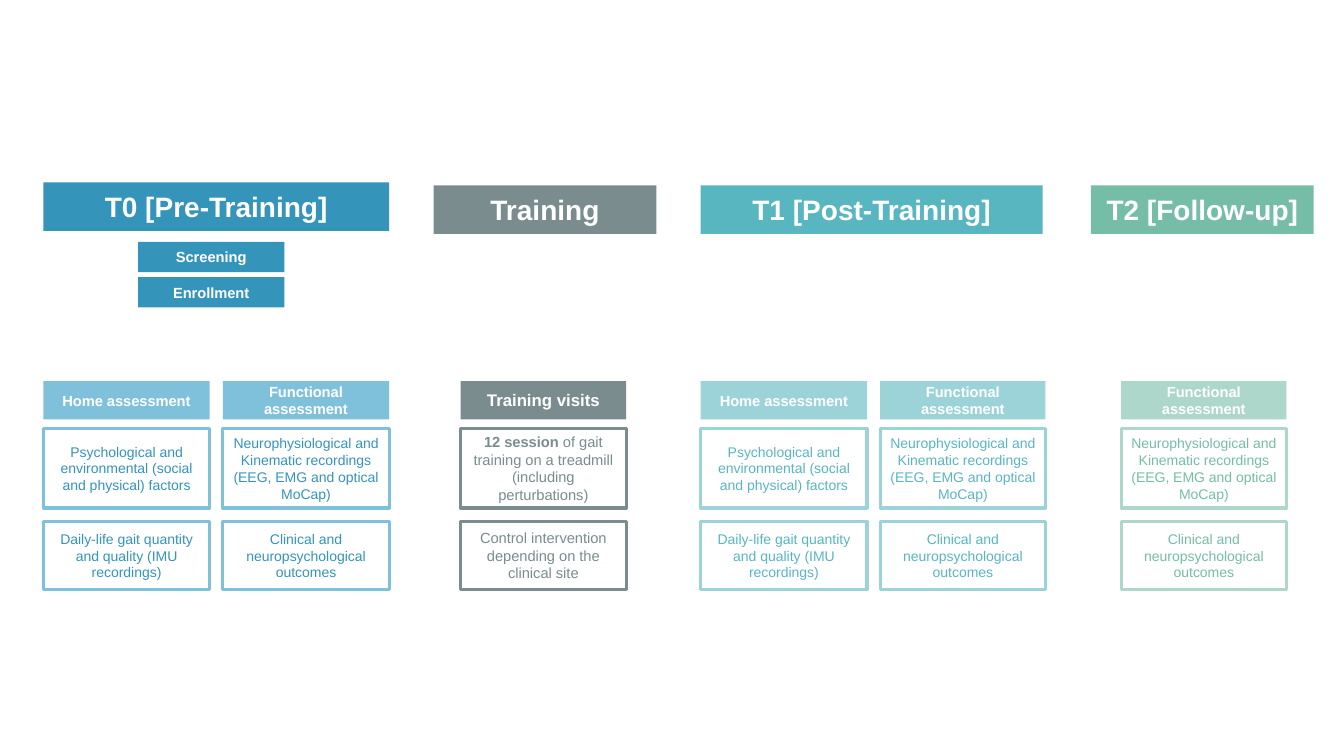
from pptx import Presentation
from pptx.dml.color import RGBColor
from pptx.enum.shapes import MSO_SHAPE as Shape
from pptx.enum.text import MSO_ANCHOR as Anchor, PP_ALIGN as Align
from pptx.util import Inches, Pt

COLORS = {
    "white": "FFFFFF",
    "t0": "3494BA", "t0_light": "7FC1DB",
    "training": "7A8C8E",
    "t1": "58B6C0", "t1_light": "9BD3D9",
    "t2": "75BDA7", "t2_light": "ACD7CA",
}

# Grid in inches: column -> (left, width), row -> (top, height)
COLUMNS = {
    "t0": (0.43, 3.43), "t0_home": (0.43, 1.65), "t0_functional": (2.21, 1.65),
    "t0_steps": (1.37, 1.45),
    "training": (4.3, 2.21), "training_visits": (4.57, 1.64),
    "t1": (6.95, 3.39), "t1_home": (6.95, 1.65), "t1_functional": (8.73, 1.64),
    "t2": (10.82, 2.21), "t2_functional": (11.12, 1.64),
}
ROWS = {
    "t0_phase": (1.81, 0.48), "phase": (1.84, 0.48),
    "screening": (2.4, 0.3), "enrollment": (2.75, 0.3),
    "heading": (3.78, 0.38), "upper": (4.25, 0.79), "lower": (5.17, 0.68),
}

HOME = ("Home assessment", [
    [["Psychological and environmental (social and physical) factors"]],
    [["Daily-life gait quantity and quality (IMU recordings)"]],
])
FUNCTIONAL = ("Functional assessment", [
    [["Neurophysiological and Kinematic recordings"], ["(EEG, EMG and optical MoCap)"]],
    [["Clinical and neuropsychological outcomes"]],
])
VISITS = ("Training visits", [
    [["*12 session ", "of gait training on a treadmill (including perturbations)"]],
    [["Control intervention depending on the clinical site"]],
])


def rgb(name):
    return RGBColor.from_string(COLORS[name])


def add_box(slide, column, row):
    (left, width), (top, height) = COLUMNS[column], ROWS[row]
    box = slide.shapes.add_shape(
        Shape.RECTANGLE, Inches(left), Inches(top), Inches(width), Inches(height))
    box.shadow.inherit = False
    return box


def write(box, paragraphs, size, color, bold=False):
    """Fill a box with paragraphs, each a list of runs; a leading * makes a run bold."""
    frame = box.text_frame
    frame.word_wrap = True
    frame.vertical_anchor = Anchor.MIDDLE
    for index, runs in enumerate(paragraphs):
        paragraph = frame.add_paragraph() if index else frame.paragraphs[0]
        paragraph.alignment = Align.CENTER
        for words in runs:
            run = paragraph.add_run()
            run.text = words.removeprefix("*")
            run.font.name = "Arial"
            run.font.size = Pt(size)
            run.font.bold = bold or words.startswith("*")
            run.font.color.rgb = rgb(color)


def add_banner(slide, column, row, label, color, size):
    banner = add_box(slide, column, row)
    banner.fill.solid()
    banner.fill.fore_color.rgb = rgb(color)
    banner.line.fill.background()
    write(banner, [[label]], size, "white", bold=True)


def add_card(slide, column, row, paragraphs, border, color, size):
    card = add_box(slide, column, row)
    card.fill.background()
    card.line.color.rgb = rgb(border)
    card.line.width = Pt(2.25)
    write(card, paragraphs, size, color)


def add_assessment(slide, column, content, light, dark, heading_size=10.5, card_size=10):
    """Add a heading with its two outlined cards below."""
    heading, cards = content
    add_banner(slide, column, "heading", heading, light, heading_size)
    for row, paragraphs in zip(("upper", "lower"), cards):
        add_card(slide, column, row, paragraphs, light, dark, card_size)


def main():
    deck = Presentation()
    deck.slide_width, deck.slide_height = Inches(13.33), Inches(7.5)
    slide = deck.slides.add_slide(deck.slide_layouts[6])

    add_banner(slide, "t0", "t0_phase", "T0 [Pre-Training]", "t0", 20)
    for phase, label in (("training", "Training"), ("t1", "T1 [Post-Training]"),
                         ("t2", "T2 [Follow-up]")):
        add_banner(slide, phase, "phase", label, phase, 20)

    for step in ("Screening", "Enrollment"):
        add_banner(slide, "t0_steps", step.lower(), step, "t0", 10.5)

    for phase in ("t0", "t1"):
        add_assessment(slide, f"{phase}_home", HOME, f"{phase}_light", phase)
    for phase in ("t0", "t1", "t2"):
        add_assessment(slide, f"{phase}_functional", FUNCTIONAL, f"{phase}_light", phase)
    add_assessment(slide, "training_visits", VISITS, "training", "training", 12, 10.5)

    deck.save("out.pptx")


if __name__ == "__main__":
    main()
